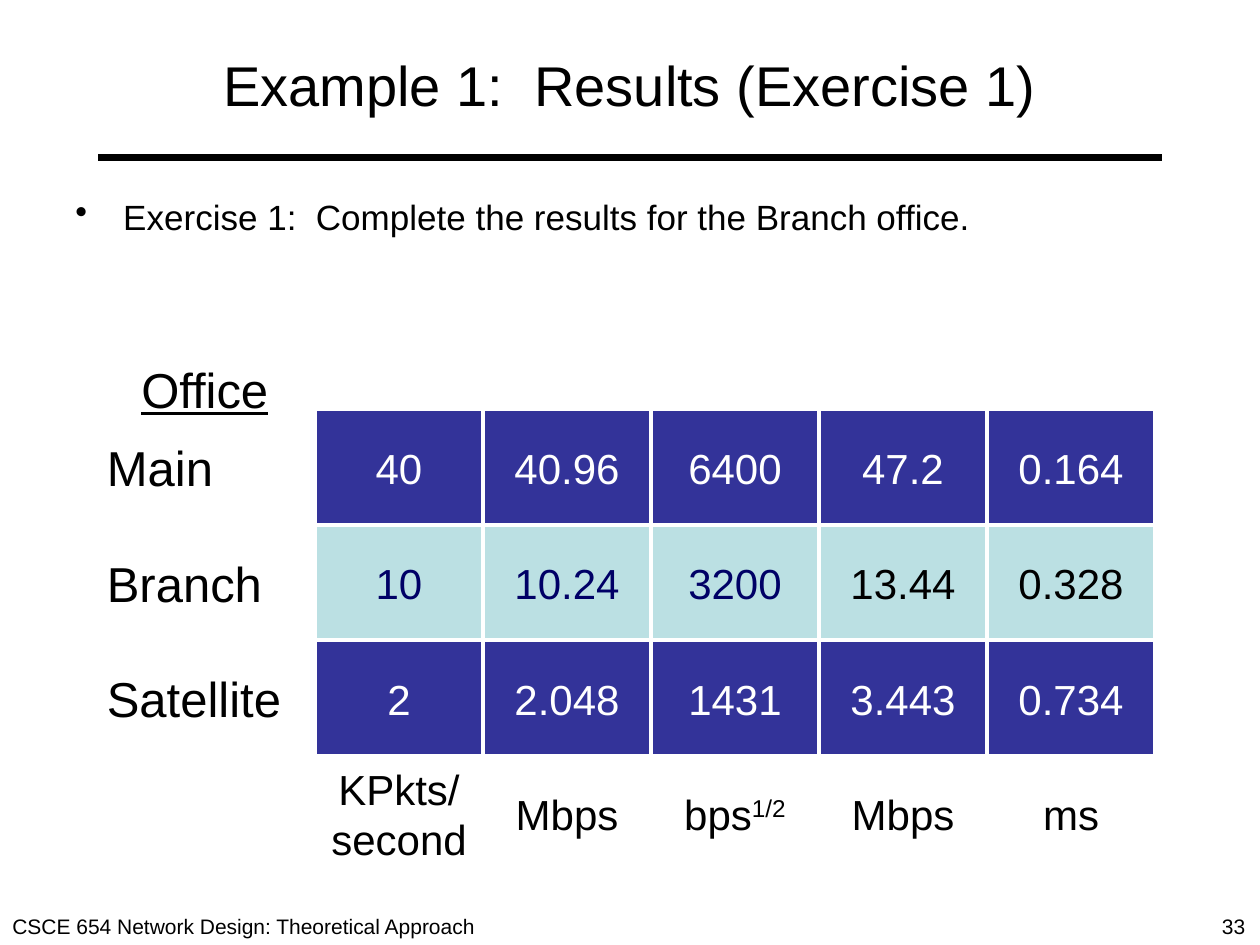
import pptx
import pptx.util
import pptx.dml.color
import pptx.enum.shapes
import pptx.enum.text
import pptx.oxml.ns
import lxml.etree

Inches = pptx.util.Inches
Align = pptx.enum.text.PP_ALIGN
Anchor = pptx.enum.text.MSO_ANCHOR

COLORS = {
    "black": "000000",
    "white": "FFFFFF",
    "navy": "000066",
    "indigo": "333399",
    "aqua": "BBE0E3",
}
COLUMN_WIDTH, ROW_HEIGHT = 4 / 3, 11 / 12
GRID_LEFT, GRID_TOP = 2.5, 3.25
LABEL_LEFT, LABEL_WIDTH = 0.75, 1.75
OFFICES = [
    ("Main", "indigo", ["40", "40.96", "6400", "47.2", "0.164"], ["white"] * 5),
    ("Branch", "aqua", ["10", "10.24", "3200", "13.44", "0.328"],
     ["navy"] * 3 + ["black"] * 2),
    ("Satellite", "indigo", ["2", "2.048", "1431", "3.443", "0.734"], ["white"] * 5),
]
UNITS = [("KPkts/\nsecond", ""), ("Mbps", ""), ("bps", "1/2"), ("Mbps", ""), ("ms", "")]


class SlideBuilder:
    font_name = "Arial"

    def __init__(self, slide):
        self.slide = slide

    def color(self, name):
        return pptx.dml.color.RGBColor.from_string(COLORS[name])

    def set_text(self, shape, text, size, color="black", align=Align.LEFT,
                 anchor=Anchor.MIDDLE, wrap=False, underline=None, superscript=""):
        frame = shape.text_frame
        frame.auto_size = pptx.enum.text.MSO_AUTO_SIZE.NONE
        frame.word_wrap = wrap
        frame.vertical_anchor = anchor
        paragraph = frame.paragraphs[0]
        paragraph.text = text
        paragraph.alignment = align
        if superscript:
            raised = paragraph.add_run()
            raised.text = superscript
            raised._r.get_or_add_rPr().set("baseline", "30000")
        for run in paragraph.runs:
            run.font.name = self.font_name
            run.font.size = pptx.util.Pt(size)
            run.font.color.rgb = self.color(color)
            run.font.underline = underline
        return paragraph

    def text(self, left, top, width, height, text, size, **style):
        box = self.slide.shapes.add_textbox(
            Inches(left), Inches(top), Inches(width), Inches(height))
        return self.set_text(box, text, size, **style)

    def bullet(self, left, top, width, height, text, size):
        paragraph = self.text(left, top, width, height, text, size,
                              anchor=Anchor.TOP, wrap=True)
        properties = paragraph._p.get_or_add_pPr()
        properties.set("marL", str(Inches(0.38)))
        properties.set("indent", str(Inches(-0.38)))
        mark = lxml.etree.SubElement(properties, pptx.oxml.ns.qn("a:buChar"))
        mark.set("char", "•")

    def cell(self, left, top, text, fill, color):
        shape = self.slide.shapes.add_shape(
            pptx.enum.shapes.MSO_SHAPE.RECTANGLE, Inches(left), Inches(top),
            Inches(COLUMN_WIDTH), Inches(ROW_HEIGHT))
        shape.shadow.inherit = False
        shape.fill.solid()
        shape.fill.fore_color.rgb = self.color(fill)
        shape.line.color.rgb = self.color("white")
        shape.line.width = pptx.util.Pt(2.25)
        self.set_text(shape, text, 24, color=color, align=Align.CENTER)

    def rule(self, left, right, top, width):
        line = self.slide.shapes.add_connector(
            pptx.enum.shapes.MSO_CONNECTOR.STRAIGHT,
            Inches(left), Inches(top), Inches(right), Inches(top))
        line.line.color.rgb = self.color("black")
        line.line.width = pptx.util.Pt(width)
        lxml.etree.SubElement(line._element.spPr, pptx.oxml.ns.qn("a:effectLst"))


def main():
    presentation = pptx.Presentation()
    presentation.slide_width = Inches(10)
    presentation.slide_height = Inches(7.5)
    slide = presentation.slides.add_slide(presentation.slide_layouts[6])
    builder = SlideBuilder(slide)

    builder.rule(0.78, 9.22, 1.25, 4.5)
    builder.text(0, 7.2, 3.87, 0.3, "CSCE 654 Network Design: Theoretical Approach",
                 12, anchor=Anchor.TOP)
    builder.text(9.6, 7.2, 0.4, 0.3, "33", 12, anchor=Anchor.TOP)
    builder.text(0.5, 0.17, 9, 1, "Example 1:  Results (Exercise 1)", 32,
                 align=Align.CENTER, wrap=True)
    builder.bullet(0.5, 1.5, 9, 5.2,
                   "Exercise 1:  Complete the results for the Branch office.", 20)
    builder.text(LABEL_LEFT, 2.75, LABEL_WIDTH, 0.67, "Office", 28,
                 align=Align.CENTER, underline=True)

    for row, (office, fill, values, colors) in enumerate(OFFICES):
        top = GRID_TOP + row * ROW_HEIGHT
        builder.text(LABEL_LEFT, top, LABEL_WIDTH, ROW_HEIGHT, office, 28)
        for column, (value, color) in enumerate(zip(values, colors)):
            builder.cell(GRID_LEFT + column * COLUMN_WIDTH, top, value, fill, color)

    units_top = GRID_TOP + len(OFFICES) * ROW_HEIGHT
    for column, (unit, exponent) in enumerate(UNITS):
        builder.text(GRID_LEFT + column * COLUMN_WIDTH, units_top, COLUMN_WIDTH,
                     ROW_HEIGHT, unit, 24, align=Align.CENTER, superscript=exponent)

    presentation.save("out.pptx")


if __name__ == "__main__":
    main()
